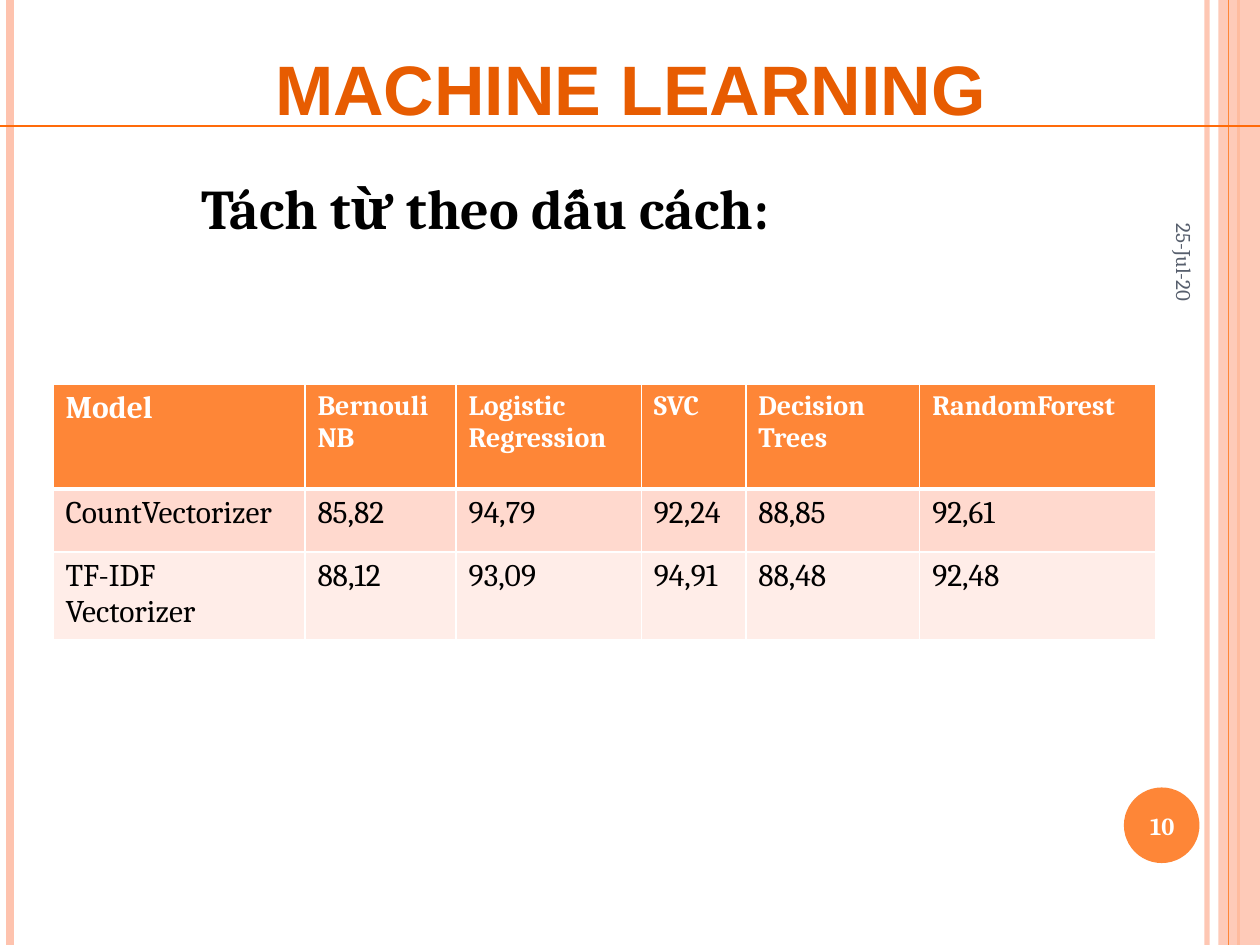
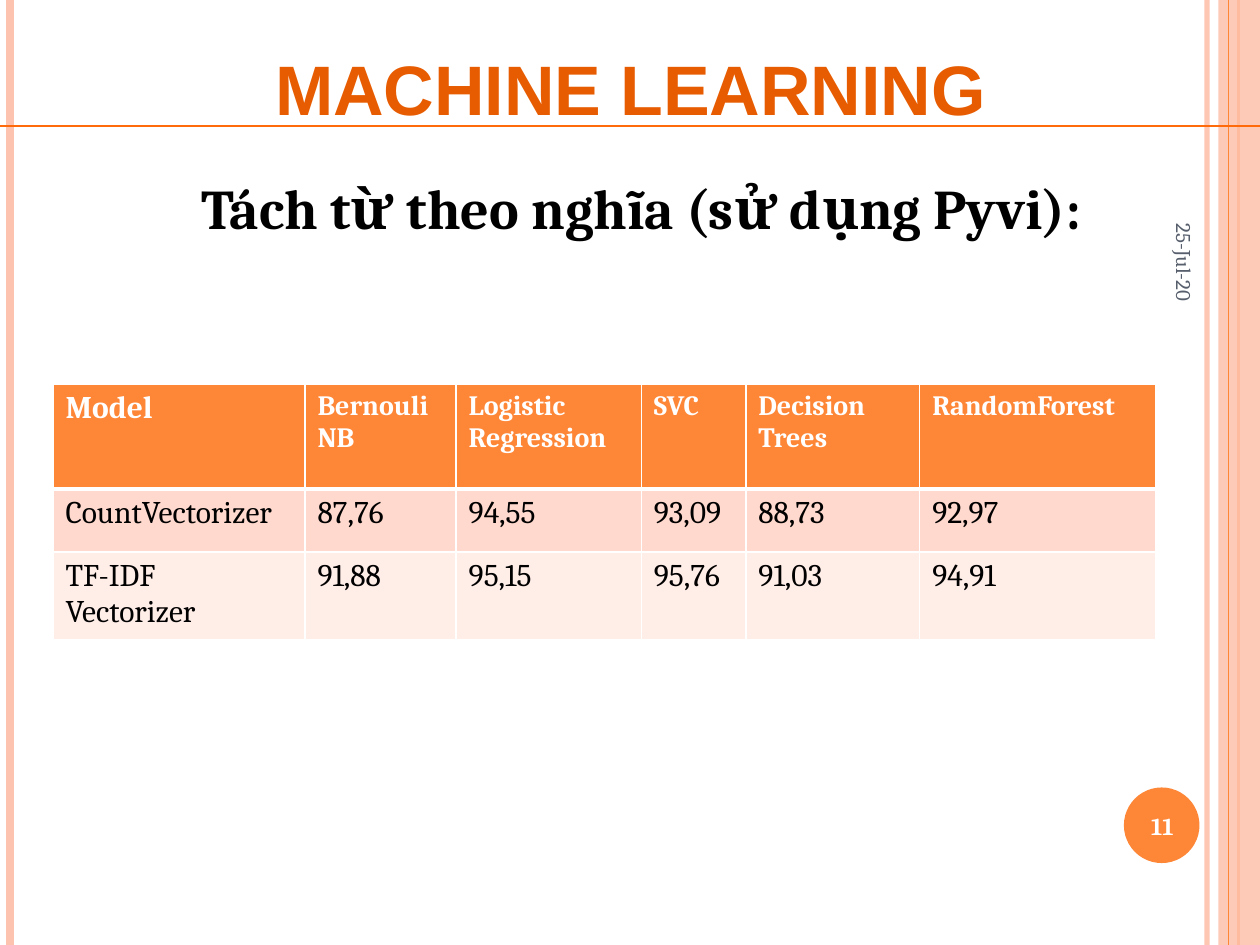
from lxml import etree
from pptx import Presentation
from pptx.dml.color import RGBColor
from pptx.enum.shapes import MSO_CONNECTOR, MSO_SHAPE
from pptx.enum.text import MSO_ANCHOR, PP_ALIGN
from pptx.oxml.ns import qn
from pptx.util import Inches, Pt

STRAIGHT = MSO_CONNECTOR.STRAIGHT
RECTANGLE, OVAL = MSO_SHAPE.RECTANGLE, MSO_SHAPE.OVAL
TOP, MIDDLE, BOTTOM = MSO_ANCHOR.TOP, MSO_ANCHOR.MIDDLE, MSO_ANCHOR.BOTTOM
LEFT, CENTER, RIGHT = PP_ALIGN.LEFT, PP_ALIGN.CENTER, PP_ALIGN.RIGHT

WHITE = RGBColor(0xFF, 0xFF, 0xFF)
BLACK = RGBColor(0x00, 0x00, 0x00)
SLATE = RGBColor(0x57, 0x5F, 0x6D)
ORANGE = RGBColor(0xFE, 0x86, 0x37)
TITLE_ORANGE = RGBColor(0xE7, 0x5C, 0x01)
RULE_ORANGE = RGBColor(0xFF, 0x6B, 0x0A)
PEACH = RGBColor(0xFE, 0xC3, 0xAE)
ROW_FILLS = [ORANGE, RGBColor(0xFF, 0xD9, 0xCE), RGBColor(0xFF, 0xED, 0xE8)]

TITLE_FONT, BODY_FONT = "Arial", "Cambria"
PAGE_WIDTH, PAGE_HEIGHT = 10, 7.5

COLUMN_WIDTHS = [2, 1.2, 1.47, 0.83, 1.38, 1.87]
ROW_HEIGHTS = [0.83, 0.5, 0.41]
MODELS = ["Model", "Bernouli NB", "Logistic Regression", "SVC",
          "Decision Trees", "RandomForest"]

# Page number, heading, score rows
RESULTS = [
    (10, "Tách từ theo dấu cách:", [
        ["CountVectorizer", "85,82", "94,79", "92,24", "88,85", "92,61"],
        ["TF-IDF Vectorizer", "88,12", "93,09", "94,91", "88,48", "92,48"],
    ]),
    (11, "Tách từ theo nghĩa (sử dụng Pyvi):", [
        ["CountVectorizer", "87,76", "94,55", "93,09", "88,73", "92,97"],
        ["TF-IDF Vectorizer", "91,88", "95,15", "95,76", "91,03", "94,91"],
    ]),
]


def set_alpha(properties, percent):
    """Make the colour inside the given XML element partly transparent."""
    color = next(properties.iter(qn("a:srgbClr")))
    etree.SubElement(color, qn("a:alpha"), val=str(percent * 1000))


def set_font(para, size, color, bold=False, name=BODY_FONT):
    font = para.font
    font.name, font.size, font.bold = name, Pt(size), bold
    font.color.rgb = color


def set_borders(cell, top, bottom):
    """Draw white cell borders; top and bottom are widths in points."""
    properties = cell._tc.get_or_add_tcPr()
    for side, width in (("L", 1), ("R", 1), ("T", top), ("B", bottom)):
        border = etree.SubElement(properties, qn(f"a:ln{side}"), w=str(Pt(width)))
        fill = etree.SubElement(border, qn("a:solidFill"))
        etree.SubElement(fill, qn("a:srgbClr"), val=str(WHITE))


class ResultsDeck:
    """Holds the deck, its shared style and the slide being built."""

    def __init__(self):
        self.deck = Presentation()
        self.deck.slide_width = Inches(PAGE_WIDTH)
        self.deck.slide_height = Inches(PAGE_HEIGHT)
        self.page = None

    def add_line(self, start, end, color, width, alpha=None):
        points = [Inches(value) for value in (*start, *end)]
        line = self.page.shapes.add_connector(STRAIGHT, *points)
        line.line.color.rgb = color
        line.line.width = Pt(width)
        properties = line._element.spPr
        if alpha:
            set_alpha(properties, alpha)
        etree.SubElement(properties, qn("a:effectLst"))

    def add_vertical(self, left, color, width, alpha=None):
        self.add_line((left, 0), (left, PAGE_HEIGHT), color, width, alpha)

    def add_shape(self, kind, place, color, alpha=None):
        shape = self.page.shapes.add_shape(kind, *map(Inches, place))
        shape.shadow.inherit = False
        shape.fill.solid()
        shape.fill.fore_color.rgb = color
        shape.line.fill.background()
        if alpha:
            set_alpha(shape._element.spPr, alpha)

    def add_text(self, text, place, size, color, align=LEFT, anchor=TOP,
                 bold=True, name=BODY_FONT, space_before=0, rotation=0):
        box = self.page.shapes.add_textbox(*map(Inches, place))
        box.rotation = rotation
        frame = box.text_frame
        frame.word_wrap = True
        frame.vertical_anchor = anchor
        para = frame.paragraphs[0]
        para.text = text
        para.alignment = align
        para.space_before = Pt(space_before)
        set_font(para, size, color, bold, name)

    def add_scores(self, rows):
        place = (0.42, 3.05, sum(COLUMN_WIDTHS), sum(ROW_HEIGHTS))
        table = self.page.shapes.add_table(
            len(rows), len(MODELS), *map(Inches, place)).table
        for column, width in zip(table.columns, COLUMN_WIDTHS):
            column.width = Inches(width)
        for row, height in zip(table.rows, ROW_HEIGHTS):
            row.height = Inches(height)
        for row_index, texts in enumerate(rows):
            header = row_index == 0
            for column_index, text in enumerate(texts):
                cell = table.cell(row_index, column_index)
                set_borders(cell, 3 if row_index == 1 else 1, 3 if header else 1)
                cell.fill.solid()
                cell.fill.fore_color.rgb = ROW_FILLS[row_index]
                cell.text = text
                size = 16 if header and column_index else 18
                set_font(cell.text_frame.paragraphs[0], size,
                         WHITE if header else BLACK, header)

    def add_decoration(self):
        self.add_vertical(9.58, PEACH, 3, alpha=93)
        self.add_vertical(0.08, PEACH, 4.5)
        self.add_vertical(9.83, ORANGE, 1.5)
        self.add_shape(RECTANGLE, (9.67, 0, 0.33, PAGE_HEIGHT), PEACH, alpha=87)
        self.add_vertical(9.75, ORANGE, 0.75)
        self.add_shape(OVAL, (8.92, 6.25, 0.6, 0.6), ORANGE)

    def add_results_page(self, number, heading, scores):
        self.page = self.deck.slides.add_slide(self.deck.slide_layouts[6])
        self.add_decoration()
        self.add_text("MACHINE LEARNING", (0.92, -0.17, 8.17, 1.25), 40,
                      TITLE_ORANGE, CENTER, BOTTOM, name=TITLE_FONT)
        self.add_text(heading, (1.5, 1.33, 8.17, 5.33), 32, BLACK, space_before=6)
        self.add_text("25-Jul-20", (8.3, 1.18, 2.2, 0.42), 12, SLATE, RIGHT,
                      MIDDLE, bold=False, rotation=90)
        self.add_text(str(number), (8.89, 6.27, 0.67, 0.57), 14, WHITE,
                      CENTER, MIDDLE)
        self.add_line((0, 1), (PAGE_WIDTH, 1), RULE_ORANGE, 1)
        self.add_scores([MODELS, *scores])


def main():
    results = ResultsDeck()
    for number, heading, scores in RESULTS:
        results.add_results_page(number, heading, scores)
    results.deck.save("out.pptx")


if __name__ == "__main__":
    main()
